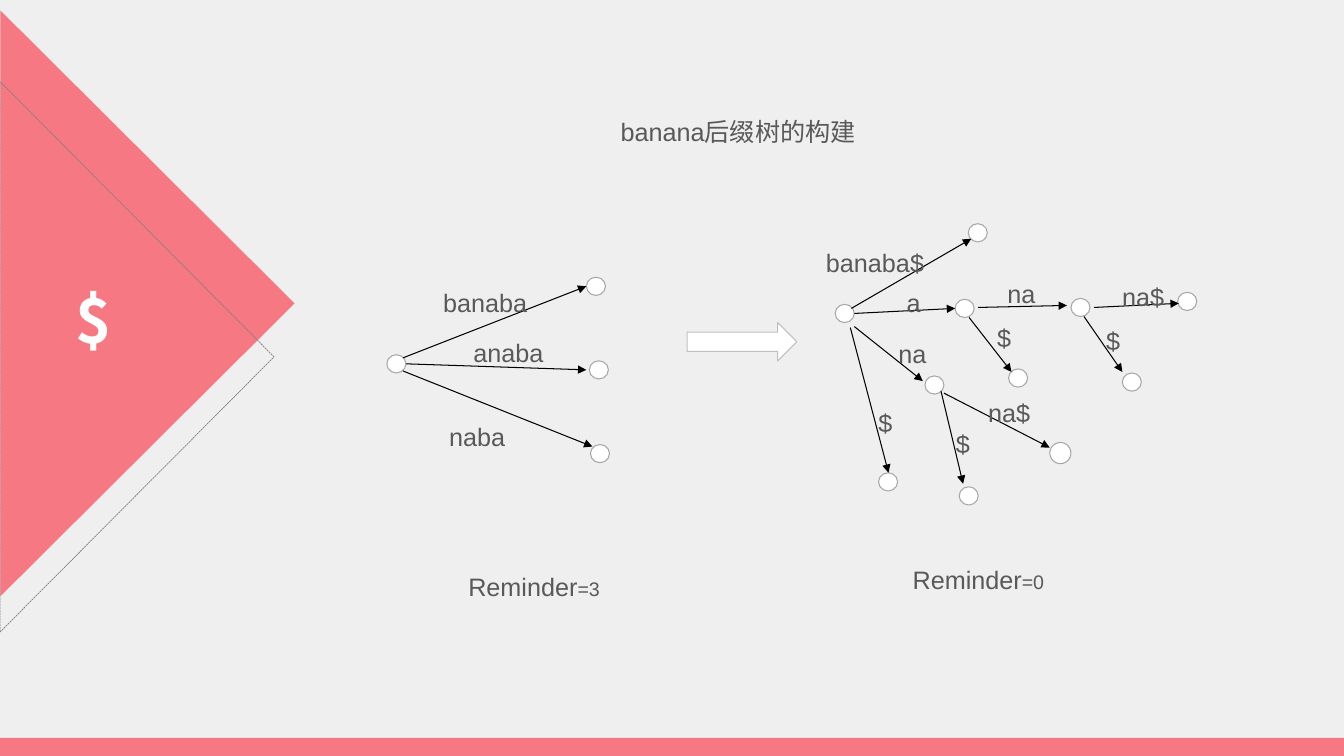
from dataclasses import dataclass

from lxml import etree
from pptx import Presentation
from pptx import util as u
from pptx.dml.color import RGBColor
from pptx.enum import dml, shapes, text
from pptx.oxml import ns

Pt = u.Pt
Preset = shapes.MSO_SHAPE


@dataclass(frozen=True)
class Theme:
    background: str = "EFEFEF"
    accent: str = "FA4453"
    accent_opacity: int = 69
    white: str = "FFFFFF"
    ink: str = "595959"
    edge: str = "000000"
    node_outline: str = "A6A6A6"
    arrow_outline: str = "BFBFBF"
    dashes: str = "7F7F7F"
    body_font: str = "Arial"
    symbol_font: str = "Noto Sans CJK KR"
    body_size: float = 18
    count_size: float = 14
    symbol_size: float = 44
    hairline: float = 0.74
    dash_width: float = 0.51


class SlideBuilder:
    def __init__(self, slide, theme):
        self.slide = slide
        self.theme = theme
        fill = slide.background.fill
        fill.solid()
        fill.fore_color.rgb = RGBColor.from_string(theme.background)

    def shape(self, preset, box, fill=None, outline=None, opacity=100, rotation=0):
        shape = self.slide.shapes.add_shape(preset, *map(Pt, box))
        shape.shadow.inherit = False
        shape.rotation = rotation
        if fill:
            shape.fill.solid()
            shape.fill.fore_color.rgb = RGBColor.from_string(fill)
            if opacity < 100:
                color = shape.fill._xPr.find(".//" + ns.qn("a:srgbClr"))
                etree.SubElement(color, ns.qn("a:alpha"), val=str(opacity * 1000))
        else:
            shape.fill.background()
        if outline:
            shape.line.color.rgb = RGBColor.from_string(outline)
            shape.line.width = Pt(self.theme.hairline)
        else:
            shape.line.fill.background()
        return shape

    def node(self, x, y, width=13.6, height=13):
        box = (x - width / 2, y - height / 2, width, height)
        self.shape(Preset.OVAL, box, self.theme.white, self.theme.node_outline)

    def edge(self, start, end):
        edge = self.slide.shapes.add_connector(
            shapes.MSO_CONNECTOR.STRAIGHT, *map(Pt, start + end))
        edge.line.color.rgb = RGBColor.from_string(self.theme.edge)
        edge.line.width = Pt(self.theme.hairline)
        line = edge.line._get_or_add_ln()
        etree.SubElement(line, ns.qn("a:tailEnd"), type="triangle")
        etree.SubElement(edge._element.spPr, ns.qn("a:effectLst"))

    def format_run(self, run, size, color=None, font=None, bold=False):
        run.font.size = Pt(size)
        run.font.name = font or self.theme.body_font
        run.font.bold = bold
        run.font.color.rgb = RGBColor.from_string(color or self.theme.ink)

    def frame(self, holder, words, align=text.PP_ALIGN.LEFT, spacing=1.5):
        frame = holder.text_frame
        frame.text = words
        frame.word_wrap = True
        frame.auto_size = text.MSO_AUTO_SIZE.NONE
        frame.vertical_anchor = text.MSO_ANCHOR.TOP
        paragraph = frame.paragraphs[0]
        paragraph.alignment = align
        paragraph.line_spacing = spacing
        return paragraph

    def title(self, words, box):
        title = self.slide.shapes.title
        title.left, title.top, title.width, title.height = map(Pt, box)
        paragraph = self.frame(title, words)
        self.format_run(paragraph.runs[0], self.theme.body_size)

    def label(self, words, left, top, width, count=""):
        box = self.slide.shapes.add_textbox(*map(Pt, (left, top, width, 39.6)))
        paragraph = self.frame(box, words)
        self.format_run(paragraph.runs[0], self.theme.body_size)
        if count:
            run = paragraph.add_run()
            run.text = count
            self.format_run(run, self.theme.count_size)

    def symbol(self, words, box):
        holder = self.slide.shapes.add_textbox(*map(Pt, box))
        paragraph = self.frame(holder, words, text.PP_ALIGN.CENTER, 1)
        self.format_run(paragraph.runs[0], self.theme.symbol_size,
                        self.theme.white, self.theme.symbol_font, True)

    def tree(self, nodes, edges):
        for node in nodes:
            self.node(*node)
        for start, end, *_ in edges:
            self.edge(start, end)
        for _, _, words, left, top, width in edges:
            self.label(words, left, top, width)


theme = Theme()
deck = Presentation()
deck.slide_width, deck.slide_height = Pt(960.5), Pt(540)
builder = SlideBuilder(deck.slides.add_slide(deck.slide_layouts[5]), theme)

builder.shape(Preset.FLOWCHART_MERGE, (-103.7, 111.6, 418.3, 210.2), theme.accent,
              opacity=theme.accent_opacity, rotation=270)
dashed_triangle = builder.shape(Preset.FLOWCHART_MERGE, (-98.6, 157, 393.1, 195.8),
                                outline=theme.dashes, rotation=270)
dashed_triangle.line.width = Pt(theme.dash_width)
dashed_triangle.line.dash_style = dml.MSO_LINE.SQUARE_DOT
builder.symbol("$", (-0.7, 198, 136, 60.5))
builder.shape(Preset.RECTANGLE, (0, 527, 960.5, 13), theme.accent,
              opacity=theme.accent_opacity)
builder.title("banana后缀树的构建", (436.3, 68.4, 190, 39.6))

three_left_nodes = [(283.3, 259.9), (425.9, 204.5), (428, 264.2), (428.8, 324)]
three_left_edges = [
    ((288, 255.6), (419, 204.5), "banaba", 309.6, 190.8, 80),
    ((290.2, 259.9), (419, 264.2), "anaba", 331.2, 226.8, 70),
    ((288, 265), (423.4, 319), "naba", 313.9, 286.6, 60),
]
finished_nodes = [
    (603.7, 223.9), (698.8, 166.3), (689.4, 220.3), (667.8, 275),
    (772.2, 219.6), (727.6, 270), (808.9, 272.9), (848.5, 215.3),
    (692.3, 354.2), (757.8, 323.6, 15.1, 15.1), (634.7, 344.2),
]
finished_edges = [
    ((608.4, 220.3), (694.1, 170.6), "banaba$", 583.2, 162, 90),
    ((610.6, 223.9), (682.6, 220.3), "a", 640.8, 190.8, 30),
    ((610.6, 233.3), (659.5, 272.2), "na", 635, 227.5, 38),
    ((607.7, 234), (635, 337.7), "$", 620.6, 276.5, 30),
    ((699.1, 219.6), (762.5, 218.2), "na", 712.8, 184.3, 38),
    ((692.6, 226.8), (722.9, 265.7), "$", 705.6, 216, 30),
    ((781.9, 219.6), (842.4, 216.7), "na$", 794.9, 186.5, 50),
    ((774.7, 226.1), (802.1, 265.7), "$", 783.4, 218.2, 30),
    ((672.5, 279.4), (688.3, 345.6), "$", 676.1, 291.6, 30),
    ((674.6, 280.8), (750.2, 319.7), "na$", 699.1, 269.3, 50),
]
builder.tree(three_left_nodes, three_left_edges)
builder.tree(finished_nodes, finished_edges)
builder.label("Reminder", 327.6, 393.8, 112, "=3")
builder.label("Reminder", 645.1, 388.8, 112, "=0")
builder.shape(Preset.RIGHT_ARROW, (491, 230.4, 78.5, 27.4), theme.white,
              theme.arrow_outline)

deck.save("out.pptx")
